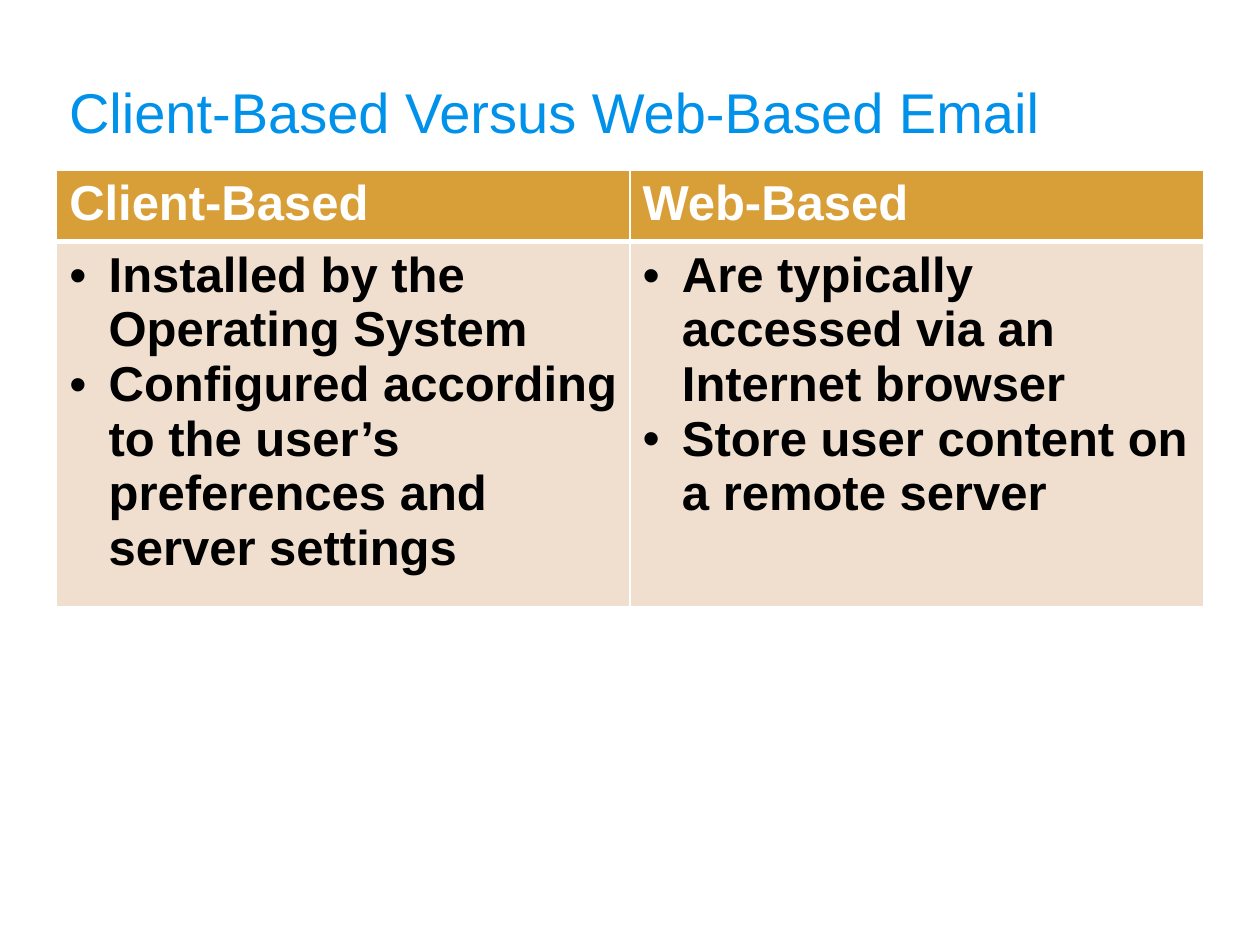
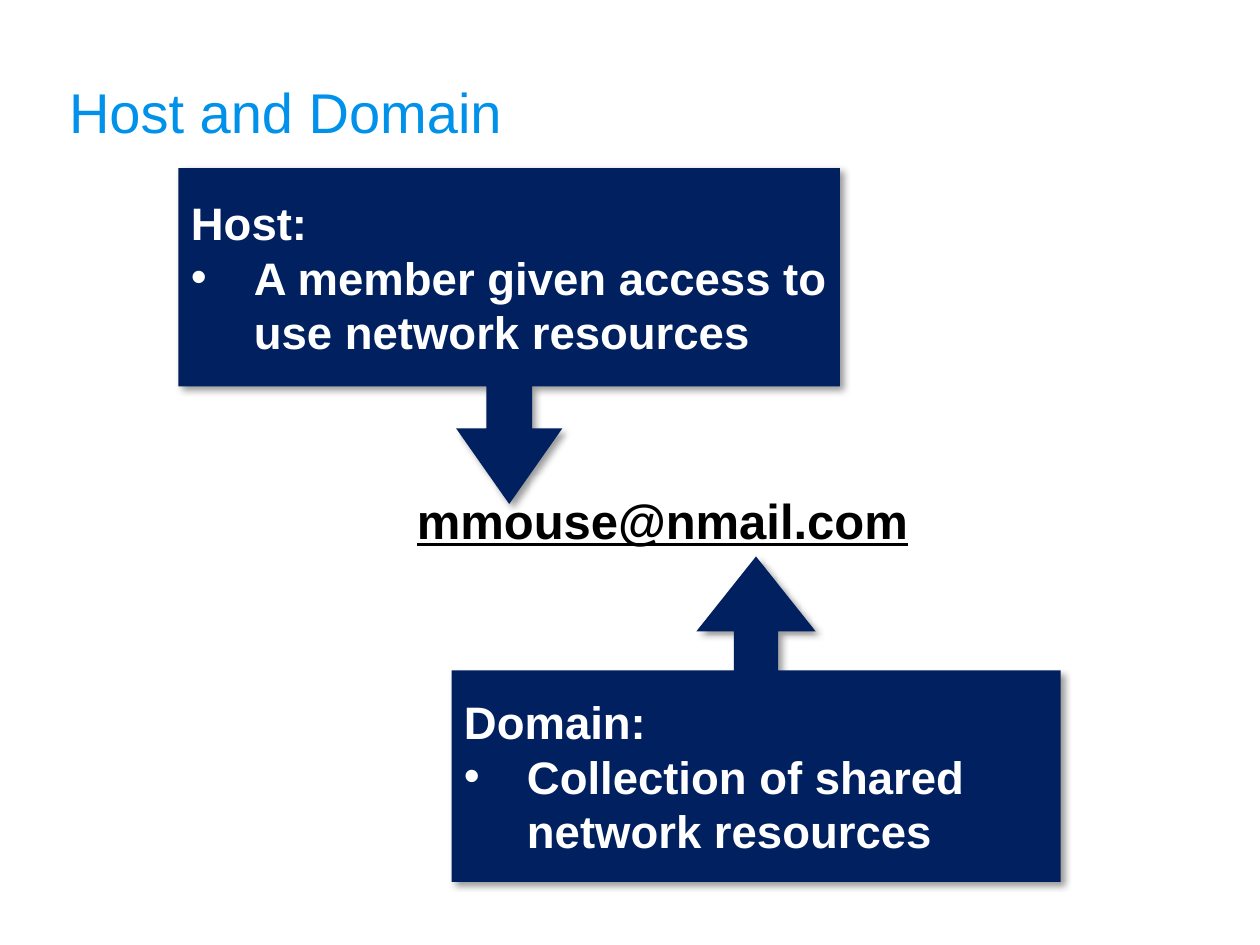
from dataclasses import dataclass
from lxml.etree import SubElement
from pptx import Presentation
from pptx.dml.color import RGBColor
from pptx.enum.shapes import MSO_SHAPE as Kind
from pptx.enum.text import MSO_ANCHOR as Anchor, PP_ALIGN as Align
from pptx.oxml import parse_xml
from pptx.oxml.ns import nsdecls, qn
from pptx.util import Pt


# Theme
@dataclass(frozen=True)
class Theme:
    font: str = "Arial"
    blue: str = "0091EA"
    navy: str = "002060"
    gold: str = "D89F39"
    sand: str = "F0DFCE"
    white: str = "FFFFFF"
    black: str = "000000"
    title: int = 32
    body: int = 28
    note: int = 26


@dataclass(frozen=True)
class Box:
    left: float
    top: float
    width: float
    height: float

    def lengths(self) -> list:
        return [Pt(n) for n in (self.left, self.top, self.width, self.height)]


@dataclass(frozen=True)
class Callout:
    kind: Kind
    box: Box
    adjust: tuple
    head: str
    point: str


@dataclass(frozen=True)
class Column:
    head: str
    points: tuple


THEME = Theme()
TITLE = Box(32.4, 18, 655.2, 72)
GRID = Box(32.4, 97.2, 655.2, 232)
HEAD = 38  # height of the table's first row

COLUMNS = (
    Column("Client-Based", (
        "Installed by the Operating System",
        "Configured according to the user’s preferences and server settings")),
    Column("Web-Based", (
        "Are typically accessed via an Internet browser",
        "Store user content on a remote server")),
)
CALLOUTS = (
    Callout(Kind.DOWN_ARROW_CALLOUT, Box(102, 96, 378, 192),
            (0.136, 0.158, 0.225, 0.65), "Host:",
            "A member given access to use network resources"),
    Callout(Kind.UP_ARROW_CALLOUT, Box(258, 318, 348, 186),
            (0.136, 0.183, 0.23, 0.65), "Domain:",
            "Collection of shared network resources"),
)


# Helpers
def write(frame, lines, *, size: int, color: str, bold: bool = True,
          line: bool = False, align=Align.LEFT, indent: float = 0,
          plain: int = 0) -> None:
    """Write paragraphs; with an indent, those after `plain` get bullets."""
    frame.word_wrap = True
    for i, text in enumerate(lines):
        para = frame.paragraphs[0] if i == 0 else frame.add_paragraph()
        para.alignment = align
        run = para.add_run()
        run.text = text
        font = run.font
        font.name, font.size, font.bold = THEME.font, Pt(size), bold
        font.underline = line
        font.color.rgb = RGBColor.from_string(color)
        if indent and i >= plain:
            props = para._p.get_or_add_pPr()
            props.set("marL", str(Pt(indent)))
            props.set("indent", str(-Pt(indent)))
            SubElement(props, qn("a:buFont")).set("typeface", THEME.font)
            SubElement(props, qn("a:buChar")).set("char", "•")


def paint(item, color: str) -> None:
    item.fill.solid()
    item.fill.fore_color.rgb = RGBColor.from_string(color)


def border(cell, base: float) -> None:
    props = cell._tc.get_or_add_tcPr()
    sides = (("L", 1), ("R", 1), ("T", 1), ("B", base))
    for i, (side, width) in enumerate(sides):
        props.insert(i, parse_xml(
            f'<a:ln{side} {nsdecls("a")} w="{Pt(width)}"><a:solidFill>'
            f'<a:srgbClr val="{THEME.white}"/></a:solidFill></a:ln{side}>'))


def shade(shape) -> None:
    shape._element.spPr.append(parse_xml(
        f'<a:effectLst {nsdecls("a")}><a:outerShdw blurRad="{Pt(4)}" '
        f'dist="{Pt(3)}" dir="2700000" algn="tl" rotWithShape="0">'
        f'<a:srgbClr val="{THEME.black}"><a:alpha val="40000"/></a:srgbClr>'
        '</a:outerShdw></a:effectLst>'))


def start(deck, title: str):
    slide = deck.slides.add_slide(deck.slide_layouts[6])
    frame = slide.shapes.add_textbox(*TITLE.lengths()).text_frame
    frame.vertical_anchor = Anchor.BOTTOM
    frame.margin_top = frame.margin_bottom = Pt(7.2)
    write(frame, [title], size=THEME.title, color=THEME.blue, bold=False)
    return slide


def block(slide, kind: Kind, box: Box):
    shape = slide.shapes.add_shape(kind, *box.lengths())
    shape.line.fill.background()
    shape.text_frame.vertical_anchor = Anchor.MIDDLE
    return shape


# Slide parts
def compare(slide) -> None:
    table = slide.shapes.add_table(2, len(COLUMNS), *GRID.lengths()).table
    table.first_row = table.horz_banding = False
    table.rows[0].height = Pt(HEAD)
    table.rows[1].height = Pt(GRID.height - HEAD)
    for i, col in enumerate(COLUMNS):
        table.columns[i].width = Pt(GRID.width / len(COLUMNS))
        top, low = table.cell(0, i), table.cell(1, i)
        write(top.text_frame, [col.head], size=THEME.body, color=THEME.white)
        write(low.text_frame, col.points, size=THEME.body, color=THEME.black,
              indent=22.5)
        for cell, color, base in ((top, THEME.gold, 3), (low, THEME.sand, 1)):
            paint(cell, color)
            border(cell, base)


def address(slide, text: str) -> None:
    shape = block(slide, Kind.ROUNDED_RECTANGLE, Box(198, 240, 361, 114))
    shape.fill.background()
    shape.shadow.inherit = False
    write(shape.text_frame, [text], size=THEME.body, color=THEME.black,
          line=True, align=Align.CENTER)


def explain(slide, note: Callout) -> None:
    shape = block(slide, note.kind, note.box)
    for i, value in enumerate(note.adjust):
        shape.adjustments[i] = value
    paint(shape, THEME.navy)
    shade(shape)
    write(shape.text_frame, [note.head, note.point], size=THEME.note,
          color=THEME.white, indent=36, plain=1)


def main() -> None:
    deck = Presentation()
    deck.slide_width, deck.slide_height = Pt(720), Pt(540)

    # Table of the two kinds of email
    compare(start(deck, "Client-Based Versus Web-Based Email"))

    # Parts of an address
    slide = start(deck, "Host and Domain")
    address(slide, "mmouse@nmail.com")
    for note in CALLOUTS:
        explain(slide, note)

    deck.save("out.pptx")


if __name__ == "__main__":
    main()
